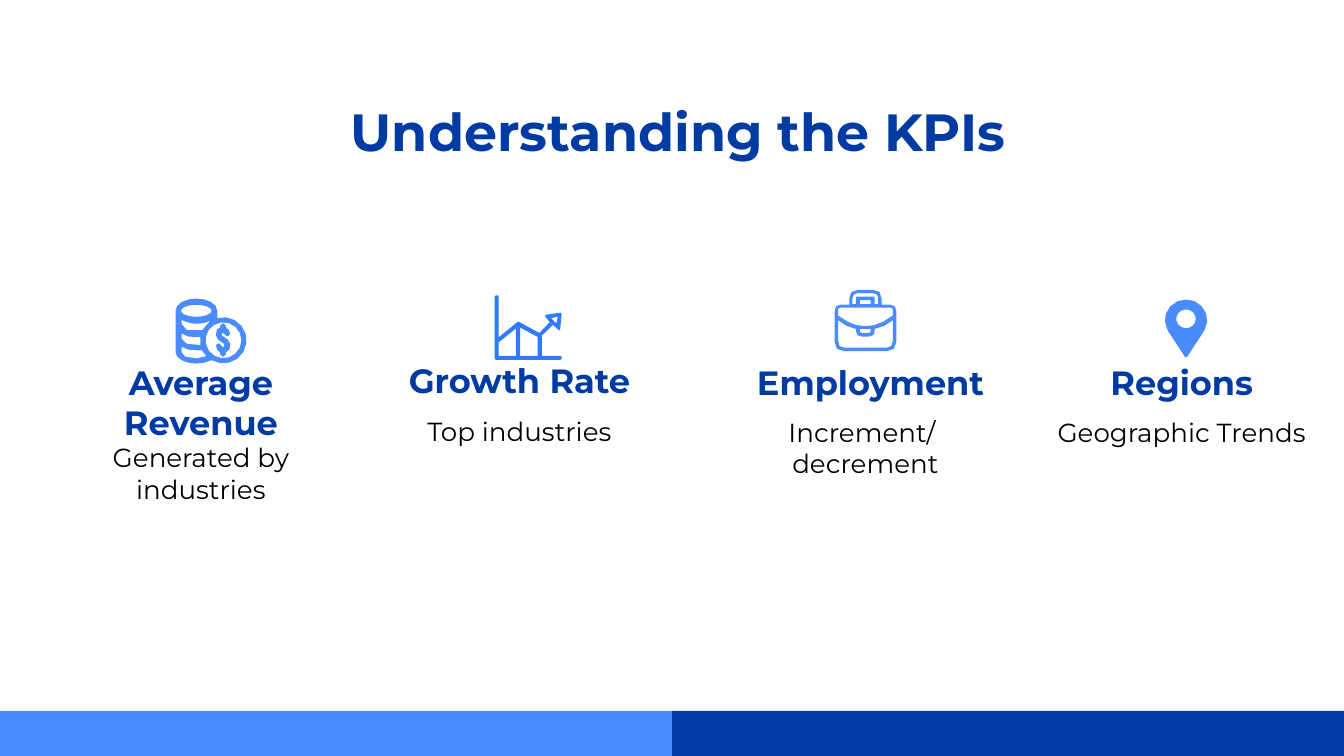
"""Build the KPI overview slide with four icon columns."""
from dataclasses import dataclass
from math import cos, dist, radians, sin

from pptx import Presentation
from pptx.dml.color import RGBColor
from pptx.enum.shapes import MSO_SHAPE as Preset
from pptx.enum.text import PP_ALIGN as Align
from pptx.util import Pt

COLORS = {"navy": "003BA3", "sky": "4A8CFF", "azure": "2F7AFF", "black": "000000"}
FONT = "Montserrat"
Point = tuple[float, float]
Contour = list[Point]


@dataclass
class Label:
    text: str
    left: float
    top: float
    width: float
    height: float
    size: float
    color: str = "navy"
    bold: bool = True
    space_after: float = 16


@dataclass
class Icon:
    left: float
    top: float
    contours: list[Contour]
    color: str = "sky"
    line_width: float = 0


def rgb(name: str) -> RGBColor:
    """Return the named colour."""
    return RGBColor.from_string(COLORS[name])


def arc(x: float, y: float, rx: float, ry: float, start: float = 0, end: float = 360) -> Contour:
    """Return points along an elliptical arc, clockwise in degrees."""
    steps = round((end - start) / 24)
    angles = [radians(start + (end - start) * i / steps) for i in range(steps + 1)]
    return [(x + rx * cos(a), y + ry * sin(a)) for a in angles]


def toward(corner: Point, other: Point, radius: float) -> Point:
    """Return the point at a distance from the corner toward another point."""
    share = min(1, radius / dist(corner, other))
    return tuple(c + (o - c) * share for c, o in zip(corner, other))


def rounded(*corners: tuple[float, ...]) -> Contour:
    """Return a polygon whose corners (x, y, optional radius) are rounded."""
    points = []
    for i, (x, y, *radius) in enumerate(corners):
        if not radius:
            points.append((x, y))
            continue
        before, after = corners[i - 1][:2], corners[(i + 1) % len(corners)][:2]
        start = toward((x, y), before, radius[0])
        end = toward((x, y), after, radius[0])
        steps = 6 if radius[0] > 8 else 2
        for step in range(steps + 1):
            t = step / steps
            points.append(tuple((1 - t) ** 2 * s + 2 * t * (1 - t) * c + t * t * e
                                for s, c, e in zip(start, (x, y), end)))
    return points


def draw_icon(page, icon: Icon) -> None:
    """Draw all contours of an icon as one freeform."""
    builder = None
    for contour in icon.contours:
        points = [(Pt(icon.left + x), Pt(icon.top + y)) for x, y in contour]
        if builder is None:
            builder = page.shapes.build_freeform(*points[0], scale=1.0)
        else:
            builder.move_to(*points[0])
        builder.add_line_segments(points[1:], close=True)
    paint(builder.convert_to_shape(), icon.color, icon.line_width)


def paint(shape, color: str, line_width: float = 0) -> None:
    """Fill a shape flat, with a line of the same colour if it has a width."""
    shape.shadow.inherit = False
    shape.fill.solid()
    shape.fill.fore_color.rgb = rgb(color)
    if line_width:
        shape.line.color.rgb = rgb(color)
        shape.line.width = Pt(line_width)
    else:
        shape.line.fill.background()


def draw_bar(page, left: float, color: str) -> None:
    """Draw one half of the footer band."""
    paint(page.shapes.add_shape(Preset.RECTANGLE, Pt(left), Pt(380.8), Pt(360), Pt(24.2)), color)


def draw_label(page, label: Label) -> None:
    """Draw a centred text box."""
    box = page.shapes.add_textbox(Pt(label.left), Pt(label.top), Pt(label.width), Pt(label.height))
    frame = box.text_frame
    frame.word_wrap = True
    frame.margin_left = frame.margin_right = frame.margin_top = frame.margin_bottom = Pt(7.2)
    frame.text = label.text
    para = frame.paragraphs[0]
    para.alignment = Align.CENTER
    para.space_after = Pt(label.space_after)
    for span in para.runs:
        span.font.name = FONT
        span.font.size = Pt(label.size)
        span.font.bold = label.bold
        span.font.color.rgb = rgb(label.color)


def heading(text: str, left: float, top: float = 186.5, width: float = 177.8) -> Label:
    """Describe a column heading."""
    return Label(text, left, top, width, 32.4, 18)


def detail(text: str, left: float, top: float = 215.8, width: float = 177.8) -> Label:
    """Describe the text below a column heading."""
    return Label(text, left, top, width, 56.9, 14, "black", False)


LABELS = [
    Label("Understanding the KPIs ", 63.8, 46.1, 607, 45.4, 28, space_after=0),
    heading("Average Revenue", 27, width=161.3),
    detail("Generated by industries", 18.8, 229.4),
    heading("Growth Rate", 189.4, 185.8),
    detail("Top industries", 189.4, 215.3),
    heading("Employment", 377.5),
    detail("Increment/  decrement", 385.9, width=155.5),
    heading("Regions", 544.2),
    detail("Geographic Trends", 544.2),
]

BRIEFCASE = Icon(447.1, 155.3, [
    rounded((7.9, 0, 4.5), (25.2, 0, 4.5), (25.2, 7.9), (33.1, 7.9, 3.5),
            (33.1, 32.8, 5), (0, 32.8, 5), (0, 7.9, 3.5), (7.9, 7.9)),
    rounded((9.6, 1.7, 3), (23.4, 1.7, 3), (23.4, 7.7), (21.5, 7.7),
            (21.5, 3.6), (11.5, 3.6), (11.5, 7.7), (9.6, 7.7)),
    rounded((13.6, 5.5), (19.4, 5.5), (19.4, 7.7), (13.6, 7.7)),
    rounded((1.9, 9.5, 1.2), (31.2, 9.5, 1.2), (31.2, 13.7), (16.5, 25, 18), (1.9, 13.7)),
    rounded((13.6, 20.9), (19.4, 20.9), (19.4, 23, 1), (13.6, 23, 1)),
    rounded((1.9, 16.3), (6.5, 19.3), (11.5, 20.9), (11.5, 25, 3), (21.5, 25, 3),
            (21.5, 20.9), (26.6, 19.3), (31.2, 16.3), (31.2, 31, 3.5), (1.9, 31, 3.5)),
])
CHART = Icon(265, 158.2, [
    rounded((0, 0, 1.1), (2.2, 0, 1.1), (2.2, 22.5), (12.6, 14), (24, 20.2), (29.5, 14.4),
            (26.6, 10.6, 1), (36, 9.2, 1), (35, 19.2, 1), (31.2, 15.8), (25.3, 21.6),
            (25.3, 32.4), (36, 32.4, 1.1), (36, 34.6, 1.1), (0, 34.6, 1.1)),
    rounded((33.8, 11.5), (33.1, 15.1), (30.2, 12.2)),
    rounded((11.5, 17.7), (11.5, 32.4), (2.2, 32.4), (2.2, 25.2)),
    rounded((13.7, 17.3), (23, 22.3), (23, 32.4), (13.7, 32.4)),
], "azure")
COINS = Icon(94, 160, [
    arc(11.2, 6.5, 10.8, 6.2, 180, 360) + arc(25.7, 22.3, 12, 12, -107, 121)
    + arc(11.2, 28.6, 10.8, 5.8, 45, 180),
    arc(11.2, 6.5, 8.6, 3.6),
    rounded((2.9, 10.8), (11.5, 15.1, 9), (20.2, 10.8), (14.4, 17.3), (6, 17.3), (2.9, 13.7)),
    rounded((2.9, 18), (7, 20), (13.7, 20.2), (13.7, 25.2), (6, 24.6), (2.9, 21.6)),
    rounded((2.9, 25.2), (7, 27), (14.4, 27.4), (17.3, 31), (11.5, 32.4), (5, 31.4), (2.9, 28.8)),
    arc(25.7, 22.3, 10, 10),
], line_width=0.75)
DOLLAR = Icon(115.9, 173.5, [rounded(
    (3.6, 0), (2.4, 1.2), (2.4, 2.2), (0.6, 3.4), (0.2, 6.2), (1.4, 8.4), (4.4, 10.4),
    (4.8, 12), (3.6, 13), (2.4, 12), (1.4, 10.8), (0.2, 11.6), (0.8, 13.8), (2.4, 15.1),
    (2.4, 16.2), (3.6, 17.3), (4.8, 16.2), (4.8, 15.1), (6.8, 13.4), (7, 10.8), (5.8, 8.6),
    (2.8, 6.6), (2.4, 5.4), (3.6, 4.4), (4.8, 5.4), (6, 6.4), (7, 5.4), (6.4, 3.4),
    (4.8, 2.2), (4.8, 1.2))], line_width=0.75)
PIN = Icon(624.8, 161.2, [
    arc(10.6, 10.3, 10.6, 10.3, 150, 390) + [(10.6, 29.5)],
    arc(10.6, 9.6, 6, 5.8),
], line_width=1.5)


def main() -> None:
    """Create and save the deck."""
    deck = Presentation()
    deck.slide_width, deck.slide_height = Pt(720), Pt(405)
    page = deck.slides.add_slide(deck.slide_layouts[6])
    draw_bar(page, 360, "navy")
    draw_bar(page, 0, "sky")
    for label in LABELS:
        draw_label(page, label)
    for icon in (BRIEFCASE, CHART, COINS, DOLLAR, PIN):
        draw_icon(page, icon)
    deck.save("out.pptx")


if __name__ == "__main__":
    main()
